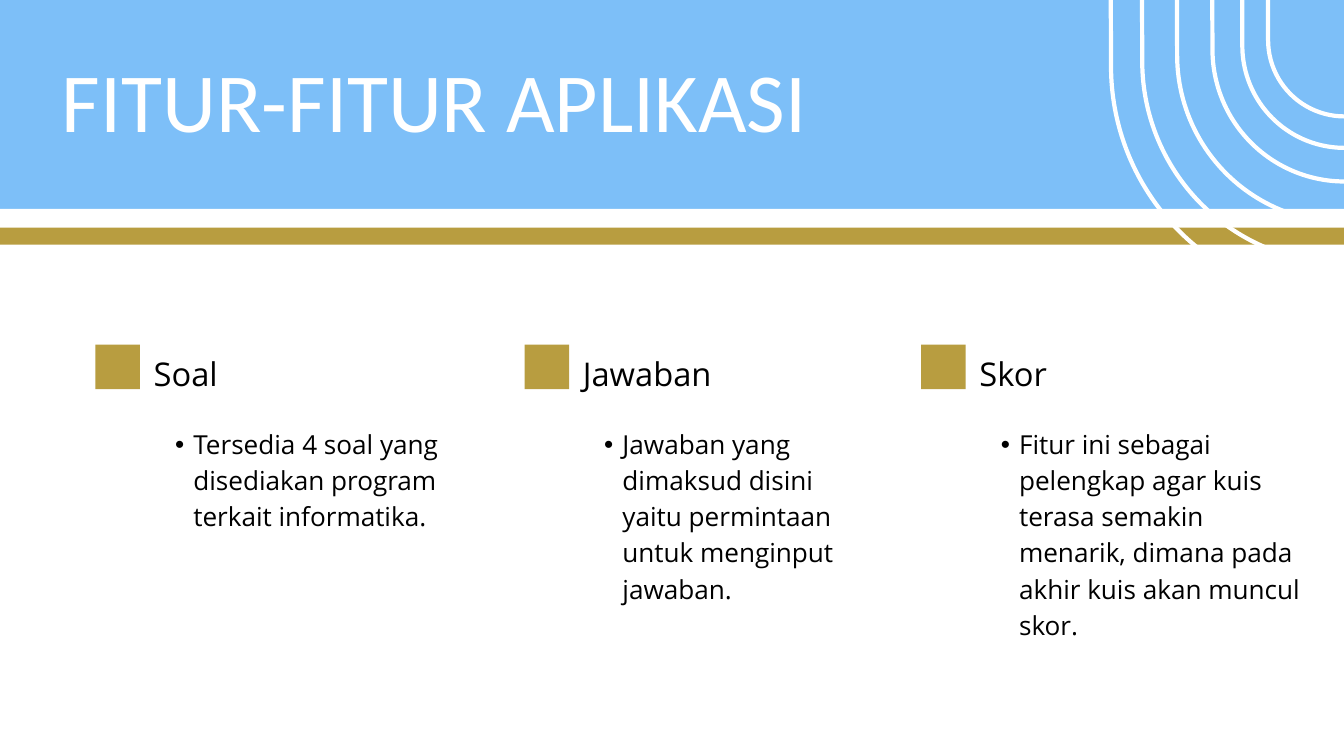
from dataclasses import dataclass
from typing import NamedTuple

from lxml.etree import SubElement
from pptx import Presentation
from pptx.dml.color import RGBColor
from pptx.enum.shapes import MSO_SHAPE as Shape
from pptx.enum.text import MSO_ANCHOR as Anchor, MSO_AUTO_SIZE as AutoSize, PP_ALIGN as Align
from pptx.oxml.ns import qn
from pptx.util import Cm, Pt


@dataclass(frozen=True)
class Theme:
    """Colours, fonts and type sizes of the deck."""
    sky: str = "7DBFF8"
    white: str = "FFFFFF"
    gold: str = "B89D40"
    black: str = "000000"
    title_font: str = "Calibri"
    body_font: str = "Open Sans"
    title_size: int = 90
    heading_size: int = 35
    body_size: int = 28
    arc_line: float = 4.5


class Box(NamedTuple):
    """A rectangle measured in centimetres."""
    left: float
    top: float
    width: float
    height: float

    def lengths(self):
        """Return the four measures as slide lengths."""
        return [Cm(value) for value in self]


THEME = Theme()
PAGE = Box(0, 0, 50.8, 28.58)
FEATURES = [
    (Box(3.61, 12.95, 13.58, 7.22), "Soal",
     "Tersedia 4 soal yang disediakan program terkait informatika."),
    (Box(19.83, 12.95, 13.15, 9.98), "Jawaban",
     "Jawaban yang dimaksud disini yaitu permintaan untuk menginput jawaban."),
    (Box(34.82, 12.95, 14.6, 11.36), "Skor",
     "Fitur ini sebagai pelengkap agar kuis terasa semakin menarik, "
     "dimana pada akhir kuis akan muncul skor."),
]
ARCS = [(17.65, 28.73, 11.33), (15.29, 26.04, 9.96), (12.65, 22.91, 8.41),
        (9.98, 19.81, 6.86), (7.72, 17.27, 5.59), (5.77, 14.86, 4.4)]


def write_text(frame, text, *, size, font, color, spacing=None, bullet=False, fit=AutoSize.NONE):
    """Fill a text frame with one formatted paragraph."""
    frame.margin_left = frame.margin_right = frame.margin_top = frame.margin_bottom = 0
    frame.word_wrap = True
    frame.auto_size = fit
    frame.vertical_anchor = Anchor.TOP
    para = frame.paragraphs[0]
    para.alignment = Align.LEFT
    if spacing:
        para.line_spacing = spacing
    if bullet:
        add_bullet(para, color)
    span = para.add_run()
    span.text = text
    span.font.size = Pt(size)
    span.font.name = font
    span.font.color.rgb = RGBColor.from_string(color)


def add_bullet(para, color):
    """Give a paragraph a round bullet and a hanging indent."""
    para.level = 1
    props = para._p.get_or_add_pPr()
    props.set("marL", str(Cm(1.5)))
    props.set("indent", str(Cm(-0.69)))
    SubElement(SubElement(props, qn("a:buClr")), qn("a:srgbClr"), val=color)
    SubElement(props, qn("a:buFont"), typeface="Arial")
    SubElement(props, qn("a:buChar"), char="•")


def add_text(page, box, text, **style):
    """Add a text box that grows with its text."""
    frame = page.shapes.add_textbox(*box.lengths()).text_frame
    write_text(frame, text, font=THEME.body_font, color=THEME.black,
               fit=AutoSize.SHAPE_TO_FIT_TEXT, **style)


def add_block(page, box, color):
    """Add a plain filled rectangle."""
    block = page.shapes.add_shape(Shape.RECTANGLE, *box.lengths())
    block.shadow.inherit = False
    block.fill.solid()
    block.fill.fore_color.rgb = RGBColor.from_string(color)
    block.line.fill.background()


def place_title(page, box, text):
    """Move the title placeholder into the box and format it."""
    title = page.shapes.title
    title.left, title.top, title.width, title.height = box.lengths()
    write_text(title.text_frame, text, size=THEME.title_size,
               font=THEME.title_font, color=THEME.white)


def place_panel(page, box):
    """Draw the white content panel with the gold band near its top."""
    add_block(page, box, THEME.white)
    add_block(page, Box(box.left, box.top + 0.71, box.width, 0.64), THEME.gold)


def place_feature(page, box, heading, body):
    """Draw one feature: gold square, heading and bulleted text."""
    indent, drop = 2.2, 3.08
    left, width = box.left + indent, box.width - indent
    add_block(page, Box(box.left, box.top + 0.08, 1.68, 1.68), THEME.gold)
    add_text(page, Box(left, box.top, width, 1.96), heading,
             size=THEME.heading_size, spacing=1.3)
    add_text(page, Box(left, box.top + drop, width, box.height - drop), body,
             size=THEME.body_size, spacing=1.15, bullet=True)


def place_arcs(page, box):
    """Draw nested U-shaped outlines centred on the right edge of the box."""
    for width, height, bottom in ARCS:
        frame = Box(box.left + box.width - width / 2, box.top + bottom - height, width, height)
        arc = page.shapes.add_shape(Shape.ROUND_2_SAME_RECTANGLE, *frame.lengths())
        arc.adjustments[0], arc.adjustments[1] = 0.5, 0
        arc.rotation = 179.8
        arc.shadow.inherit = False
        arc.fill.background()
        arc.line.color.rgb = RGBColor.from_string(THEME.white)
        arc.line.width = Pt(THEME.arc_line)


def main():
    """Build and save the one-slide deck."""
    deck = Presentation()
    deck.slide_width, deck.slide_height = Cm(PAGE.width), Cm(PAGE.height)
    page = deck.slides.add_slide(deck.slide_layouts.get_by_name("Title Only"))
    page.background.fill.solid()
    page.background.fill.fore_color.rgb = RGBColor.from_string(THEME.sky)
    place_title(page, Box(2.34, 1.83, 34.57, 3.84), "FITUR-FITUR APLIKASI")
    place_panel(page, Box(0, 7.9, PAGE.width, PAGE.height - 7.9))
    for box, heading, body in FEATURES:
        place_feature(page, box, heading, body)
    place_arcs(page, PAGE)
    deck.save("out.pptx")


if __name__ == "__main__":
    main()
